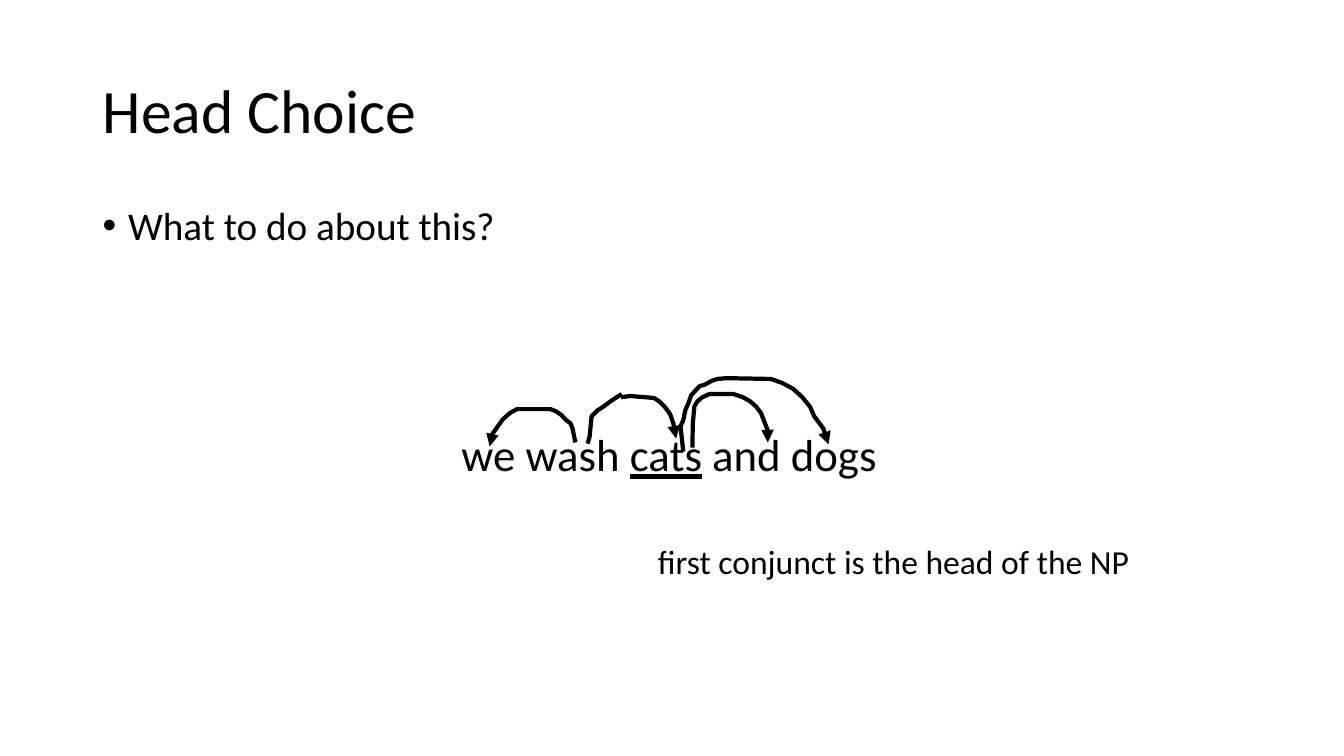
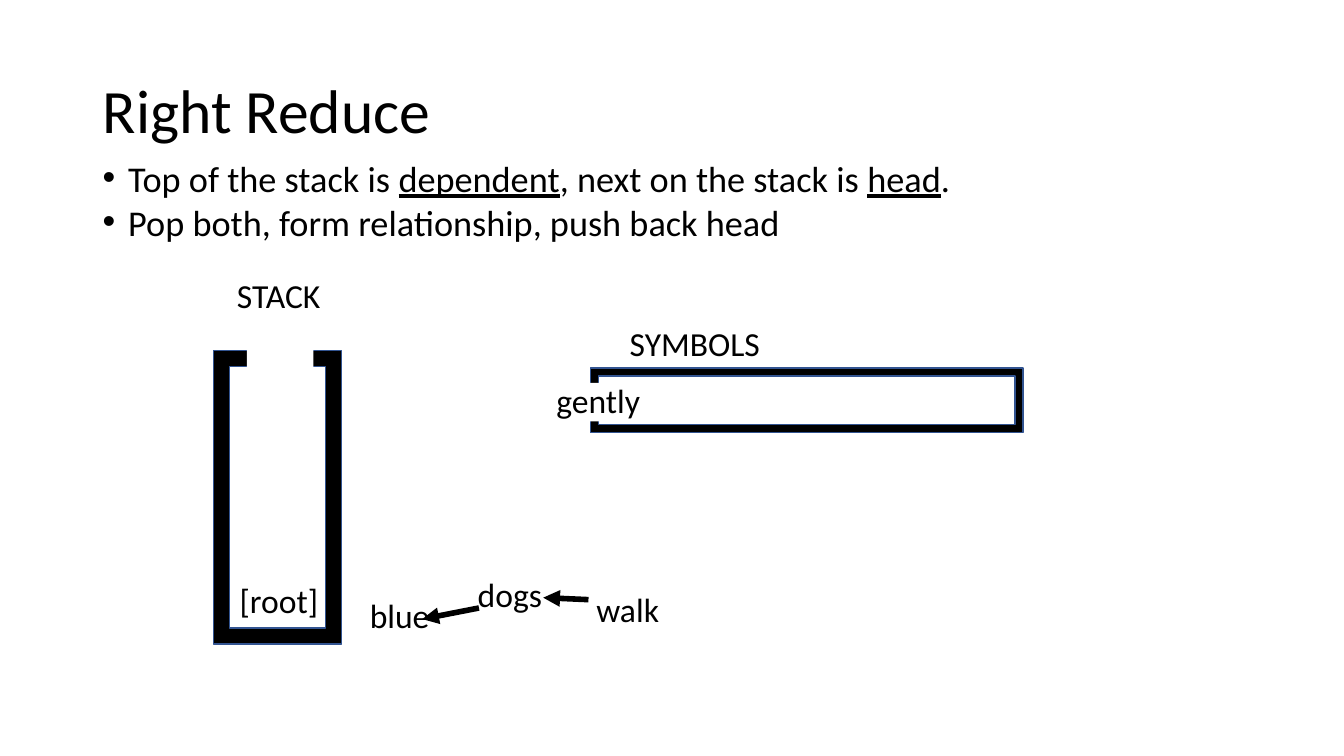
from lxml.etree import SubElement
from pptx import Presentation
from pptx.dml.color import RGBColor
from pptx.enum.shapes import MSO_CONNECTOR, MSO_SHAPE
from pptx.enum.text import MSO_ANCHOR, MSO_AUTO_SIZE, PP_ALIGN
from pptx.oxml.ns import qn
from pptx.util import Cm, Pt

rgb = RGBColor.from_string
BLACK, WHITE, FRAME_BLUE = "000000", "FFFFFF", "325491"
TITLE_FRAME = {"left": Cm(2.34), "top": Cm(1.02), "width": Cm(29.21), "height": Cm(3.68)}
TITLE_TEXT = {"vertical_anchor": MSO_ANCHOR.MIDDLE, "auto_size": MSO_AUTO_SIZE.NONE, "word_wrap": True}
TITLE_PARAGRAPH = {"alignment": PP_ALIGN.LEFT, "line_spacing": 0.9}
BULLET_INDENT = {"marL": str(Cm(0.64)), "indent": str(-Cm(0.64))}
LABEL_TEXT = {"word_wrap": False, "auto_size": MSO_AUTO_SIZE.SHAPE_TO_FIT_TEXT}


def write(p, text, size, fmt):
    for name, value in fmt.items():
        setattr(p, name, value)
    for i, part in enumerate(text.split("_")):
        r = p.add_run()
        r.text = part
        font = {"name": "Calibri", "size": Pt(size), "underline": i % 2 == 1}
        for name, value in font.items():
            setattr(r.font, name, value)
        r.font.color.rgb = rgb(BLACK)


def draw_line(sp, width, arrow):
    sp.line.color.rgb = rgb(BLACK)
    sp.line.width = Pt(width)
    ln = sp.line._get_or_add_ln()
    SubElement(ln, qn("a:round"))
    if arrow:
        SubElement(ln, qn("a:tailEnd"), type="triangle")
    SubElement(sp._element.spPr, qn("a:effectLst"))


prs = Presentation()
prs.slide_width, prs.slide_height = Cm(33.87), Cm(19.05)

topics = [
    ("Head Choice", ["What to do about this?"], 5.08, 5.18, 28, 0.9),
    ("Right Reduce",
     ["Top of the stack is _dependent_, next on the stack is _head_.",
      "Pop both, form relationship, push back head"], 4.11, 2.36, 25.9, 0.7),
]
for title, bullets, top, height, size, spacing in topics:
    s = prs.slides.add_slide(prs.slide_layouts[5])
    sp = s.shapes.title
    for name, value in TITLE_FRAME.items():
        setattr(sp, name, value)
    tf = sp.text_frame
    for name, value in TITLE_TEXT.items():
        setattr(tf, name, value)
    write(tf.paragraphs[0], title, 44, TITLE_PARAGRAPH)

    tf = s.shapes.add_textbox(Cm(2.34), Cm(top), Cm(29.21), Cm(height)).text_frame
    tf.word_wrap = True
    for i, text in enumerate(bullets):
        p = tf.add_paragraph() if i else tf.paragraphs[0]
        write(p, text, size, {"line_spacing": spacing, "space_before": Pt(10)})
        pPr = p._p.get_or_add_pPr()
        for name, value in BULLET_INDENT.items():
            pPr.set(name, value)
        SubElement(pPr, qn("a:buFont"), typeface="Arial")
        SubElement(pPr, qn("a:buChar"), char="•")

head_choice, right_reduce = prs.slides

arcs = [
    ([(14.5, 11.15), (14.43, 10.8), (14.38, 10.67), (14.25, 10.57), (14.15, 10.46),
      (14, 10.36), (13.87, 10.31), (13.03, 10.31), (12.85, 10.41), (12.67, 10.57),
      (12.55, 10.74), (12.42, 10.92), (12.37, 11.05), (12.34, 11.25)], True),
    ([(14.81, 11.18), (14.86, 11), (14.91, 10.49), (15.06, 10.34), (15.19, 10.26),
      (15.39, 10.11), (15.67, 9.93)], False),
    ([(15.65, 10.01), (15.88, 9.98), (16.26, 10.01), (16.48, 10.03), (16.61, 10.11),
      (16.76, 10.26), (16.89, 10.44), (16.97, 10.67), (17.04, 11.05)], True),
    ([(17.45, 11.28), (17.46, 10.67), (17.5, 10.24), (17.58, 10.11), (17.7, 10.01),
      (17.88, 9.93), (18.49, 9.93), (18.72, 10.01), (18.9, 10.11), (19.05, 10.24),
      (19.18, 10.41), (19.3, 10.72), (19.35, 10.85), (19.35, 11.15)], True),
    ([(17.22, 11.38), (17.17, 10.92), (17.15, 10.74), (17.22, 10.59), (17.27, 10.34),
      (17.35, 10.16), (17.42, 9.96), (17.63, 9.73), (17.75, 9.7), (17.93, 9.6),
      (18.08, 9.55), (18.31, 9.53), (19.43, 9.55), (19.71, 9.65), (19.99, 9.8),
      (20.22, 10.01), (20.42, 10.26), (20.52, 10.49), (20.75, 10.8), (20.88, 11.2)], True),
]
for points, arrow in arcs:
    points = [(round(x * 100), round(y * 100)) for x, y in points]
    outline = head_choice.shapes.build_freeform(*points[0], scale=Cm(0.01))
    outline.add_line_segments(points[1:], close=False)
    sp = outline.convert_to_shape()
    sp.fill.background()
    draw_line(sp, 3, arrow)

boxes = [
    (MSO_SHAPE.FRAME, 5.38, 8.84, 3.23, 7.39),
    (MSO_SHAPE.RECTANGLE, 6.22, 8.18, 1.68, 2.77),
    (MSO_SHAPE.FRAME, 14.88, 9.27, 10.9, 1.63),
    (MSO_SHAPE.RECTANGLE, 11.51, 9.65, 4.01, 0.97),
]
for kind, *frame in boxes:
    sp = right_reduce.shapes.add_shape(kind, *map(Cm, frame))
    sp.shadow.inherit = False
    sp.fill.solid()
    if kind == MSO_SHAPE.FRAME:
        sp.fill.fore_color.rgb = rgb(BLACK)
        sp.line.color.rgb = rgb(FRAME_BLUE)
        sp.line.width = Pt(1)
    else:
        sp.fill.fore_color.rgb = rgb(WHITE)
        sp.line.fill.background()

labels = [
    (head_choice, "we wash _cats_ and dogs", 32, 11.38, 10.64, 11.1, 1.63),
    (head_choice, "first conjunct is the head of the NP", 24, 16.33, 13.51, 12.5, 1.27),
    (right_reduce, "STACK", 24, 5.72, 6.81, 2.64, 1.27),
    (right_reduce, "SYMBOLS", 24, 15.62, 8, 3.84, 1.27),
    (right_reduce, "gently", 24, 13.77, 9.45, 2.64, 1.27),
    (right_reduce, "[root]", 24, 5.79, 14.48, 2.51, 1.27),
    (right_reduce, "walk", 24, 14.78, 14.71, 2.11, 1.27),
    (right_reduce, "blue", 24, 9.07, 14.86, 2.03, 1.27),
    (right_reduce, "dogs", 24, 11.79, 14.33, 2.16, 1.27),
]
for s, text, size, *frame in labels:
    tf = s.shapes.add_textbox(*map(Cm, frame)).text_frame
    for name, value in LABEL_TEXT.items():
        setattr(tf, name, value)
    write(tf.paragraphs[0], text, size, {})

for ends in [(14.83, 15.11, 13.69, 15.06), (12.07, 15.32, 10.64, 15.6)]:
    sp = right_reduce.shapes.add_connector(MSO_CONNECTOR.STRAIGHT, *map(Cm, ends))
    draw_line(sp, 4, True)

prs.save("out.pptx")
